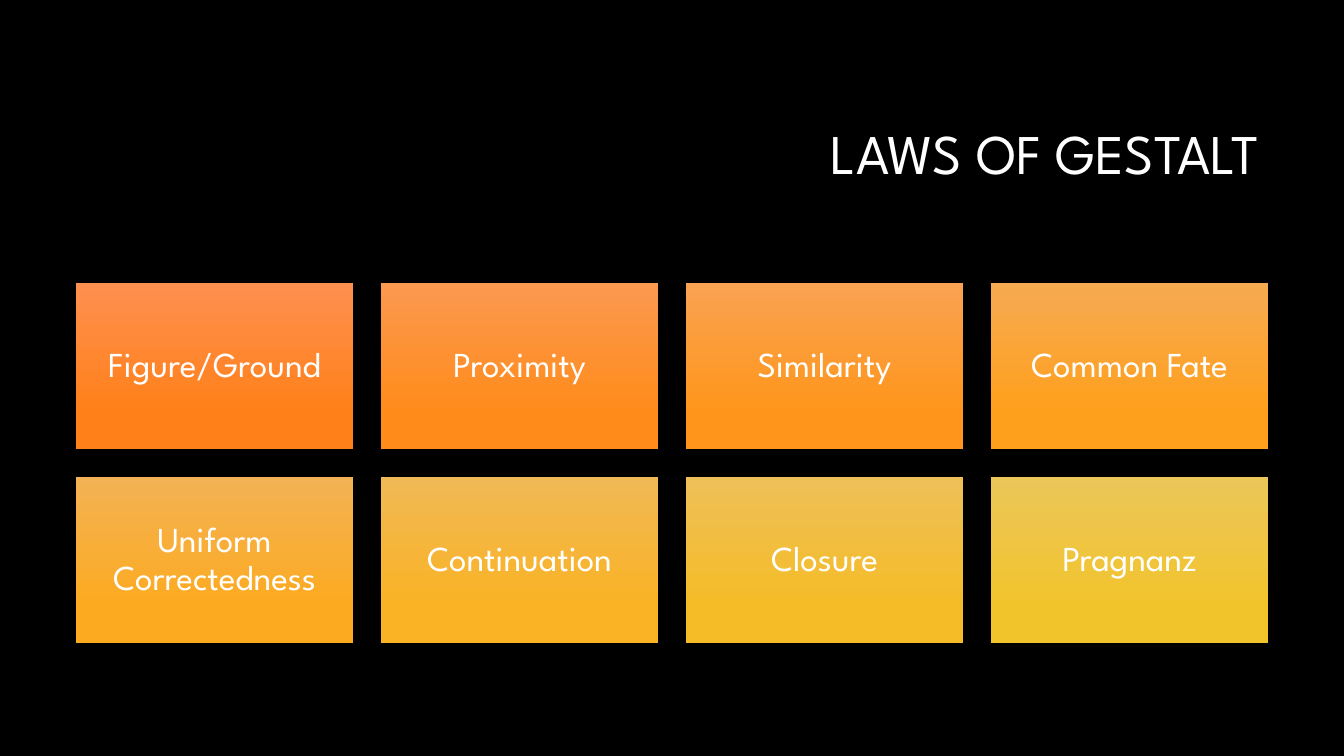
from pptx import Presentation
from pptx.dml.color import RGBColor as Rgb
from pptx.enum.shapes import MSO_SHAPE as Shape
from pptx.enum.text import MSO_ANCHOR as Anchor, MSO_AUTO_SIZE as Fit, PP_ALIGN as Align
from pptx.util import Emu, Pt

COLORS = {"back": "000000", "text": "FFFFFF"}
LAWS = [
    ("Figure/Ground", "FE904F", "FF8019"),
    ("Proximity", "FB9950", "FF8B1A"),
    ("Similarity", "F9A251", "FF961B"),
    ("Common Fate", "F6AA52", "FFA01C"),
    ("Uniform Correctedness", "F3B254", "FCAA20"),
    ("Continuation", "F1B956", "F9B324"),
    ("Closure", "EEC057", "F5BC28"),
    ("Pragnanz", "EBC659", "F2C42C"),
]
COLS = 4
LEFT, TOP = 76, 283
WIDE, HIGH = 277, 166
GAP = 28


def px(n):
    return Emu(round(n * 914400 / 100.8))


class Deck:
    font = "League Spartan"

    def __init__(self, wide, high):
        self.prs = Presentation()
        self.prs.slide_width, self.prs.slide_height = px(wide), px(high)
        self.slide = self.prs.slides.add_slide(self.prs.slide_layouts[5])
        fill = self.slide.background.fill
        fill.solid()
        fill.fore_color.rgb = Rgb.from_string(COLORS["back"])

    def label(self, shape, text, size, align):
        frame = shape.text_frame
        frame.word_wrap = True
        frame.auto_size = Fit.NONE
        frame.vertical_anchor = Anchor.MIDDLE
        para = frame.paragraphs[0]
        para.alignment = align
        para.line_spacing = 0.9
        run = para.add_run()
        run.text = text
        run.font.name = self.font
        run.font.size = Pt(size)
        run.font.color.rgb = Rgb.from_string(COLORS["text"])

    def title(self, text, x, y, w, h):
        box = self.slide.shapes.title
        box.left, box.top, box.width, box.height = map(px, (x, y, w, h))
        self.label(box, text, 40, Align.RIGHT)

    def tile(self, text, light, deep, x, y, w, h):
        box = self.slide.shapes.add_shape(Shape.RECTANGLE, *map(px, (x, y, w, h)))
        box.shadow.inherit = False
        box.line.fill.background()
        box.fill.gradient()
        box.fill.gradient_angle = 270
        for stop, tint, pos in zip(box.fill.gradient_stops, (light, deep), (0, 0.78)):
            stop.color.rgb = Rgb.from_string(tint)
            stop.position = pos
        frame = box.text_frame
        frame.margin_left = frame.margin_right = px(10)
        frame.margin_top = frame.margin_bottom = px(10)
        self.label(box, text, 25, Align.CENTER)


def main():
    deck = Deck(1344, 756)
    deck.title("LAWS OF GESTALT", 320, 85, 949, 142)
    for i, (name, light, deep) in enumerate(LAWS):
        row, col = divmod(i, COLS)
        x = LEFT + col * (WIDE + GAP)
        y = TOP + row * (HIGH + GAP)
        deck.tile(name, light, deep, x, y, WIDE, HIGH)
    deck.prs.save("out.pptx")


if __name__ == "__main__":
    main()
